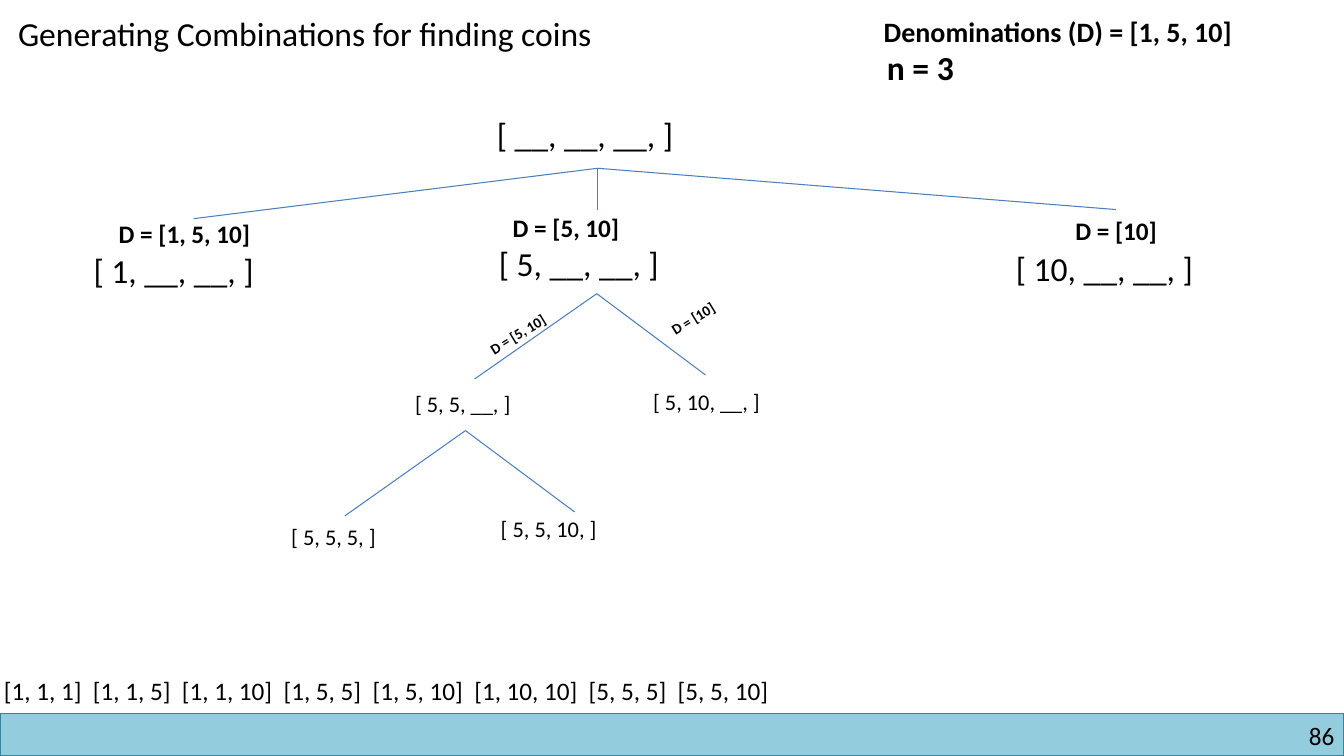
from lxml.etree import SubElement
from pptx import Presentation
from pptx.dml.color import RGBColor
from pptx.enum.shapes import MSO_CONNECTOR, MSO_SHAPE
from pptx.enum.text import MSO_ANCHOR, MSO_AUTO_SIZE, PP_ALIGN
from pptx.oxml.ns import qn
from pptx.util import Cm, Pt

BLACK = RGBColor(0x00, 0x00, 0x00)
BRANCH_BLUE = RGBColor(0x4B, 0x7E, 0xBC)
BAR_FILL = RGBColor(0x93, 0xCD, 0xDD)
BAR_LINE = RGBColor(0x31, 0x85, 0x9C)

SLIDE_WIDTH, SLIDE_HEIGHT = 33.87, 19.05
BAR_HEIGHT = 1.07
LABEL_WIDTH = 17.04

# text, left, top, width, size, bold, rotation
TEXTS = [
    ("Denominations (D) = [1, 5, 10]", 22.02, 0.25, 10.49, 20, True, 0),
    ("n = 3", 22.1, 1.07, 2.49, 24, True, 0),
    ("[ __, __, __, ]", 12.27, 2.74, 5.49, 24, False, 0),
    ("[ 1, __, __, ]", 2.11, 6.17, 5.03, 24, False, 0),
    ("[ 5, __, __, ]", 12.32, 5.99, 5.03, 24, False, 0),
    ("[ 10, __, __, ]", 25.35, 6.12, 5.49, 24, False, 0),
    ("D = [1, 5, 10]", 2.74, 5.38, LABEL_WIDTH, 18, True, 0),
    ("D = [5, 10]", 12.67, 5.23, LABEL_WIDTH, 18, True, 0),
    ("D = [10]", 26.85, 5.31, 7, 18, True, 0),
    ("[ 5, 5, __, ]", 10.21, 9.7, 3.23, 16, False, 0),
    ("[ 5, 10, __, ]", 16.21, 9.65, 3.53, 16, False, 0),
    ("D = [5, 10]", 10.92, 4.17, LABEL_WIDTH, 10.5, True, 328.6),
    ("D = [10]", 15.49, 3.68, LABEL_WIDTH, 10.5, True, 328.6),
    ("[ 5, 5, 5, ]", 7.09, 13.06, 2.9, 16, False, 0),
    ("[ 5, 5, 10, ]", 12.37, 12.85, 3.23, 16, False, 0),
    ("[1, 1, 1]  [1, 1, 5]  [1, 1, 10]  [1, 5, 5]  [1, 5, 10]  "
     "[1, 10, 10]  [5, 5, 5]  [5, 5, 10]", -0.15, 16.89, 21.72, 18, False, 0),
]

# parent point and the points of its children
BRANCHES = [
    ((15.06, 4.24), [(4.88, 5.51), (15.06, 5.28), (28.12, 5.28)]),
    ((15.04, 7.4), [(11.96, 9.55), (17.78, 9.45)]),
    ((11.73, 10.85), [(8.69, 13), (14.48, 12.9)]),
]


def set_attributes(target, values):
    for name, value in values.items():
        setattr(target, name, value)


class TreeSlide:
    font = {"name": "Calibri", "bold": False}
    frame = {"word_wrap": True, "auto_size": MSO_AUTO_SIZE.NONE,
             "vertical_anchor": MSO_ANCHOR.TOP}

    def __init__(self, presentation):
        self.slide = presentation.slides.add_slide(presentation.slide_layouts[5])

    def fill_text(self, shape, text, size, bold=False, alignment=PP_ALIGN.LEFT):
        set_attributes(shape.text_frame, self.frame)
        paragraph = shape.text_frame.paragraphs[0]
        paragraph.text = text
        paragraph.alignment = alignment
        set_attributes(paragraph.font, {**self.font, "size": Pt(size), "bold": bold})
        paragraph.font.color.rgb = BLACK

    def title(self, text, left, top, width, height, size):
        shape = self.slide.shapes.title
        set_attributes(shape, {"left": Cm(left), "top": Cm(top),
                               "width": Cm(width), "height": Cm(height)})
        self.fill_text(shape, text, size)

    def text(self, text, left, top, width, size, bold=False, rotation=0):
        """Add a one-line box whose height follows from the text size."""
        shape = self.slide.shapes.add_textbox(
            Cm(left), Cm(top), Cm(width), Cm(0.26 + 0.042 * size))
        shape.rotation = rotation
        self.fill_text(shape, text, size, bold)

    def footer_bar(self):
        bar = self.slide.shapes.add_shape(
            MSO_SHAPE.RECTANGLE, 0, Cm(SLIDE_HEIGHT - BAR_HEIGHT),
            Cm(SLIDE_WIDTH), Cm(BAR_HEIGHT))
        bar.shadow.inherit = False
        bar.fill.solid()
        bar.fill.fore_color.rgb = BAR_FILL
        bar.line.color.rgb = BAR_LINE
        bar.line.width = Pt(1)

    def page_number(self, number):
        shape = self.slide.shapes.add_textbox(Cm(25.83), Cm(18.16), Cm(7.8), Cm(0.76))
        margins = ("margin_left", "margin_top", "margin_right", "margin_bottom")
        set_attributes(shape.text_frame, dict.fromkeys(margins, 0))
        self.fill_text(shape, number, 18, alignment=PP_ALIGN.RIGHT)

    def branch(self, parent, child):
        line = self.slide.shapes.add_connector(
            MSO_CONNECTOR.STRAIGHT, *map(Cm, parent + child))
        line.line.color.rgb = BRANCH_BLUE
        line.line.width = Pt(0.75)
        SubElement(line._element.spPr, qn("a:effectLst"))


def main():
    presentation = Presentation()
    presentation.slide_width = Cm(SLIDE_WIDTH)
    presentation.slide_height = Cm(SLIDE_HEIGHT)
    tree = TreeSlide(presentation)
    tree.footer_bar()
    tree.page_number("86")
    tree.title("Generating Combinations for finding coins", 0.2, 0.2, 16.46, 1.27, 24)
    for parent, children in BRANCHES:
        for child in children:
            tree.branch(parent, child)
    for entry in TEXTS:
        tree.text(*entry)
    presentation.save("out.pptx")


if __name__ == "__main__":
    main()
